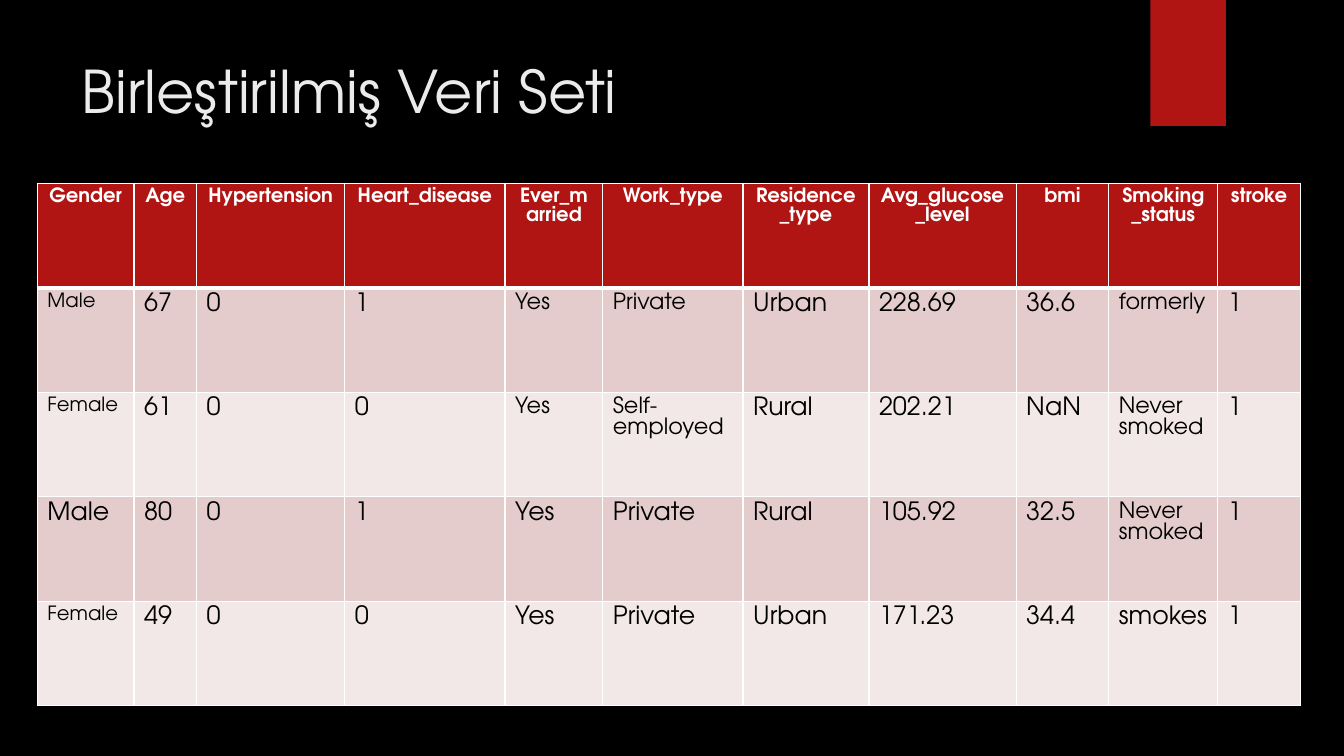
import dataclasses
import pptx
import pptx.dml.color
import pptx.enum.shapes
import pptx.enum.text
import pptx.oxml
import pptx.oxml.ns
import pptx.util
from pptx.util import Inches


@dataclasses.dataclass(frozen=True)
class Theme:
    font: str = "TeX Gyre Adventor"
    background: str = "000000"
    accent: str = "B01513"
    title: str = "EBEBEB"
    header_text: str = "FFFFFF"
    body_text: str = "000000"
    border: str = "FFFFFF"
    bands: tuple = ("E4CCCC", "F2E8E7")
    title_size: int = 42
    small: int = 14
    medium: int = 16
    large: int = 18


THEME = Theme()
COLUMN_WIDTHS = (0.96, 0.62, 1.47, 1.59, 0.97, 1.39, 1.25, 1.46, 0.92, 1.08, 0.82)
TABLE_HEIGHT = 5.18
HEADERS = (
    "Gender", "Age", "Hypertension", "Heart_disease", "Ever_married", "Work_type",
    "Residence_type", "Avg_glucose_level", "bmi", "Smoking_status", "stroke",
)
PATIENTS = (
    ("Male", "67", "0", "1", "Yes", "Private", "Urban", "228.69", "36.6", "formerly", "1"),
    ("Female", "61", "0", "0", "Yes", "Self-employed", "Rural", "202.21", "NaN", "Never smoked", "1"),
    ("Male", "80", "0", "1", "Yes", "Private", "Rural", "105.92", "32.5", "Never smoked", "1"),
    ("Female", "49", "0", "0", "Yes", "Private", "Urban", "171.23", "34.4", "smokes", "1"),
)
SMALL_CELLS = {(0, 0), (1, 0), (3, 0)}
MEDIUM_CELLS = {(0, 4), (0, 5), (0, 9), (1, 4), (1, 5), (1, 9), (2, 9)}


def rgb(color):
    return pptx.dml.color.RGBColor.from_string(color)


def apply_format(target, values):
    for name, value in values.items():
        setattr(target, name, value)


def paint(fill, color):
    fill.solid()
    fill.fore_color.rgb = rgb(color)


def write_text(frame, text, size, color, bold=False, align=pptx.enum.text.PP_ALIGN.LEFT):
    para = frame.paragraphs[0]
    para.alignment = align
    span = para.add_run()
    span.text = text
    apply_format(span.font, {"name": THEME.font, "size": pptx.util.Pt(size), "bold": bold})
    span.font.color.rgb = rgb(color)


def add_title(page, text):
    box = page.shapes.title
    apply_format(box, {
        "left": Inches(0.71), "top": Inches(0.49),
        "width": Inches(10.29), "height": Inches(1.53),
    })
    apply_format(box.text_frame, {
        "word_wrap": True, "vertical_anchor": pptx.enum.text.MSO_ANCHOR.TOP,
    })
    write_text(box.text_frame, text, THEME.title_size, THEME.title)


def add_ribbon(page):
    ribbon = page.shapes.add_shape(
        pptx.enum.shapes.MSO_SHAPE.RECTANGLE,
        Inches(11.41), Inches(0), Inches(0.75), Inches(1.25))
    ribbon.shadow.inherit = False
    paint(ribbon.fill, THEME.accent)
    ribbon.line.fill.background()


def set_borders(cell, widths):
    properties = cell._tc.get_or_add_tcPr()
    for position, (side, width) in enumerate(widths.items()):
        properties.insert(position, pptx.oxml.parse_xml(
            f'<a:ln{side} {pptx.oxml.ns.nsdecls("a")} w="{pptx.util.Pt(width)}">'
            f'<a:solidFill><a:srgbClr val="{THEME.border}"/></a:solidFill></a:ln{side}>'))


def body_size(position):
    if position in SMALL_CELLS:
        return THEME.small
    return THEME.medium if position in MEDIUM_CELLS else THEME.large


def add_patient_table(page):
    row_count = len(PATIENTS) + 1
    table = page.shapes.add_table(
        row_count, len(HEADERS), Inches(0.37), Inches(1.82),
        Inches(sum(COLUMN_WIDTHS)), Inches(TABLE_HEIGHT)).table
    for column, width in zip(table.columns, COLUMN_WIDTHS):
        column.width = Inches(width)
    for row in table.rows:
        row.height = Inches(TABLE_HEIGHT / row_count)
    for index, header in enumerate(HEADERS):
        cell = table.cell(0, index)
        paint(cell.fill, THEME.accent)
        set_borders(cell, {"L": 1, "R": 1, "T": 1, "B": 3})
        write_text(cell.text_frame, header, THEME.small, THEME.header_text, True,
                   pptx.enum.text.PP_ALIGN.CENTER)
    for number, patient in enumerate(PATIENTS):
        for index, value in enumerate(patient):
            cell = table.cell(number + 1, index)
            paint(cell.fill, THEME.bands[number % 2])
            set_borders(cell, {"L": 1, "R": 1, "T": 1 if number else 3, "B": 1})
            write_text(cell.text_frame, value, body_size((number, index)), THEME.body_text)


def main():
    deck = pptx.Presentation()
    apply_format(deck, {"slide_width": Inches(13.33), "slide_height": Inches(7.5)})
    page = deck.slides.add_slide(deck.slide_layouts[5])
    paint(page.background.fill, THEME.background)
    add_ribbon(page)
    add_title(page, "Birleştirilmiş Veri Seti")
    add_patient_table(page)
    deck.save("out.pptx")


if __name__ == "__main__":
    main()
